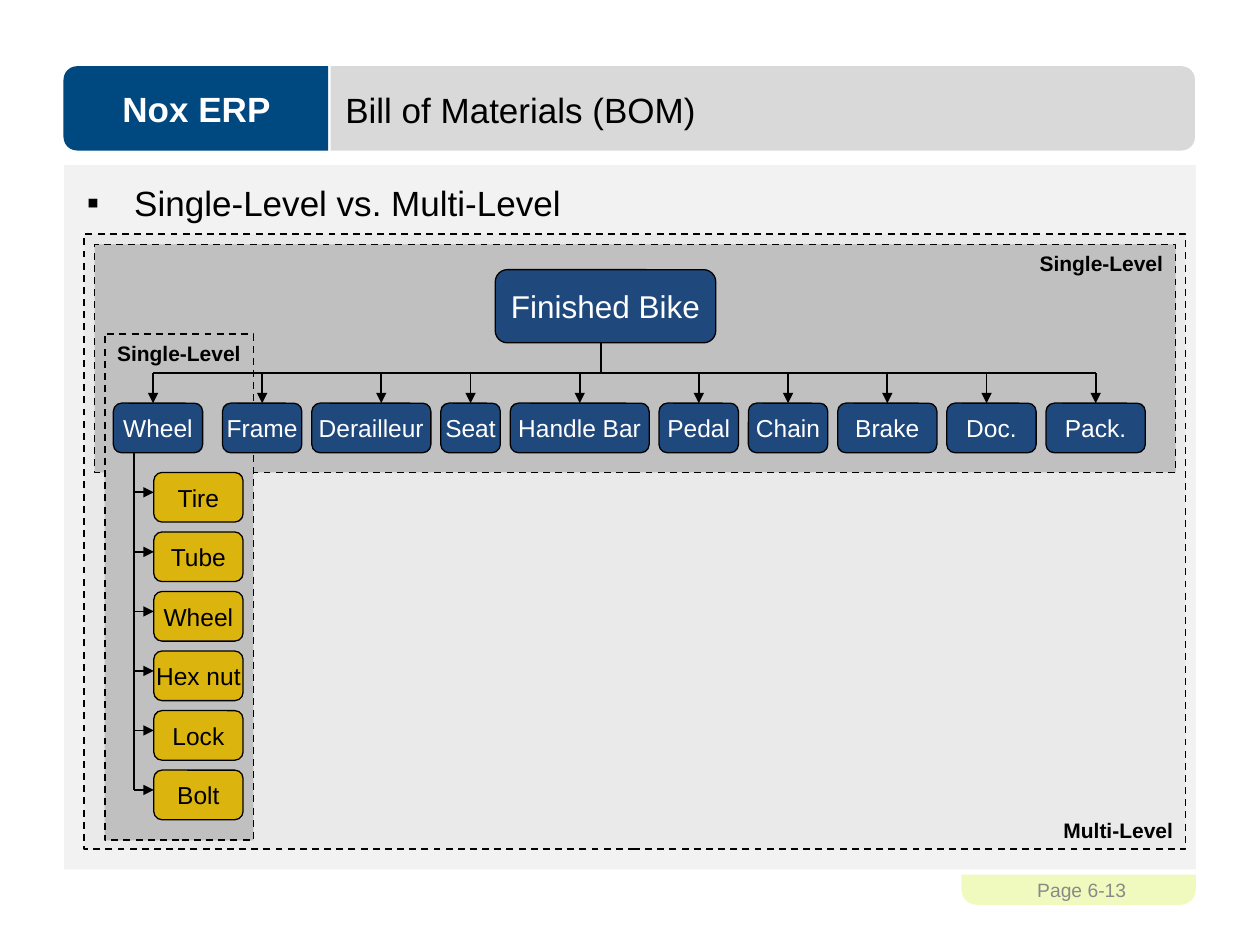
from dataclasses import dataclass
from lxml import etree
from pptx import Presentation
from pptx.dml.color import RGBColor
from pptx.enum.dml import MSO_LINE
from pptx.enum.shapes import MSO_CONNECTOR, MSO_SHAPE
from pptx.enum.text import MSO_ANCHOR, MSO_AUTO_SIZE, PP_ALIGN
from pptx.oxml.ns import qn
from pptx.slide import Slide
from pptx.util import Pt

RECT, ROUND, TAB = MSO_SHAPE.RECTANGLE, MSO_SHAPE.ROUNDED_RECTANGLE, MSO_SHAPE.ROUND_2_SAME_RECTANGLE
LEFT, MID, RIGHT = PP_ALIGN.LEFT, PP_ALIGN.CENTER, PP_ALIGN.RIGHT
TOP, CENTER, BOTTOM = MSO_ANCHOR.TOP, MSO_ANCHOR.MIDDLE, MSO_ANCHOR.BOTTOM
STRAIGHT, DASH, FIXED = MSO_CONNECTOR.STRAIGHT, MSO_LINE.DASH, MSO_AUTO_SIZE.NONE
UNIT = 5.67


def color(code):
    """Turn a hex string into a colour."""
    return RGBColor.from_string(code)


def write(frame, words, size=14, ink="000000", bold=False, align=MID, anchor=CENTER, wrap=False, font="Arial"):
    """Put formatted text in a frame and return its paragraph."""
    frame.auto_size, frame.word_wrap, frame.vertical_anchor = FIXED, wrap, anchor
    para = frame.paragraphs[0]
    para.alignment, para.space_before = align, Pt(0)
    run = para.add_run()
    run.text = words
    run.font.name, run.font.size, run.font.bold = font, Pt(size), bold
    run.font.color.rgb = color(ink)
    return para


@dataclass
class Deck:
    """Hold the style and the current slide."""
    slide: Slide
    ink: str = "000000"
    navy: str = "1F497D"
    gold: str = "DBB40D"
    pale: str = "FFFFFF"

    def shape(self, kind, box, fill, line=0, dash=None, turn=0, bend=None):
        """Add a filled preset shape."""
        item = self.slide.shapes.add_shape(kind, *map(Pt, box))
        item.shadow.inherit = False
        item.fill.solid()
        item.fill.fore_color.rgb = color(fill)
        item.rotation = turn
        if bend is not None:
            item.adjustments[0] = bend
        if line:
            item.line.width = Pt(line)
            item.line.color.rgb = color(self.ink)
            item.line.dash_style = dash
        else:
            item.line.fill.background()
        return item

    def panel(self, box, fill, words, **form):
        """Add a dashed frame with a bold label."""
        item = self.shape(RECT, box, fill, 1, DASH)
        write(item.text_frame, words, 12, self.ink, True, **form)

    def node(self, box, words, fill, ink, size=14):
        """Add a rounded part box."""
        item = self.shape(ROUND, box, fill, 0.75)
        write(item.text_frame, words, size, ink)
        return item

    def label(self, box, words, **form):
        """Add a text box."""
        item = self.slide.shapes.add_textbox(*map(Pt, box))
        write(item.text_frame, words, wrap=True, **form)

    def holder(self, item, box, words, anchor):
        """Move a placeholder to the front and fill it."""
        item.left, item.top, item.width, item.height = map(Pt, box)
        item.element.getparent().append(item.element)
        return write(item.text_frame, words, 20, self.ink, align=LEFT, anchor=anchor, wrap=True)

    def bullet(self, para, mark, indent):
        """Give a paragraph a hanging bullet."""
        props = para._p.get_or_add_pPr()
        props.set("marL", str(Pt(indent)))
        props.set("indent", str(-Pt(indent)))
        tint = etree.SubElement(props, qn("a:buClr"))
        etree.SubElement(tint, qn("a:srgbClr"), val=self.ink)
        etree.SubElement(props, qn("a:buFont"), typeface="Arial")
        etree.SubElement(props, qn("a:buChar"), char=mark)

    def line(self, ends, head=False, goal=None, site=0):
        """Add a straight line, with an arrowhead or a joined end."""
        item = self.slide.shapes.add_connector(STRAIGHT, *map(Pt, ends))
        item.line.width = Pt(1)
        item.line.color.rgb = color(self.ink)
        if head:
            etree.SubElement(item.line._get_or_add_ln(), qn("a:tailEnd"), type="triangle")
        etree.SubElement(item._element.spPr, qn("a:effectLst"))
        if goal is not None:
            item.end_connect(goal, site)


def main():
    """Build the bill of materials slide."""
    show = Presentation()
    show.slide_width, show.slide_height = Pt(720), Pt(540)
    deck = Deck(show.slides.add_slide(show.slide_layouts[1]))
    title, body = deck.slide.placeholders

    deck.shape(RECT, (36.7, 94.3, 646.6, 402.5), "F2F2F2")
    deck.shape(TAB, (549.4, 499.7, 133.9, 17.3), "F1FABE", turn=180, bend=0.5)
    deck.shape(TAB, (87.8, -13.7, 48.2, 151.2), "004880", turn=270, bend=0.16)
    deck.shape(TAB, (411.8, -185, 48.2, 493.9), "D9D9D9", turn=90, bend=0.16)
    deck.label((36.7, 37.8, 151.2, 48.2), "Nox ERP", size=20, ink=deck.pale, bold=True)
    deck.label((553, 493.9, 130.3, 28.8), "Page 6-13", size=11, ink="898989")
    deck.panel((48.2, 133.9, 629.3, 351.4), "EAEAEA", "Multi-Level", align=RIGHT, anchor=BOTTOM)
    deck.holder(title, (190.1, 38.9, 480.2, 46.8), "Bill of Materials (BOM)", CENTER)
    para = deck.holder(body, (42.5, 100.1, 629.3, 382.3), "Single-Level vs. Multi-Level", TOP)
    deck.bullet(para, "▪", 27)
    deck.panel((54, 139.7, 617.8, 130.3), "C0C0C0", "Single-Level", align=RIGHT, anchor=TOP)
    deck.panel((59.8, 190.8, 85, 289.4), "C0C0C0", "Single-Level", align=LEFT, anchor=TOP)

    deck.node((283, 154.1, 126, 41.8), "Finished Bike", deck.navy, deck.pale, 18)
    high, bus, row = 5 * UNIT, 213.3, 230.4
    parts = [("Wheel", 9, 2, -0.5), ("Frame", 8, 1, 0), ("Derailleur", 12, 1, 1), ("Seat", 6, 1, 0),
             ("Handle Bar", 14, 1, 0), ("Pedal", 8, 1, 0), ("Chain", 8, 1, 0), ("Brake", 10, 1, 0),
             ("Doc.", 9, 1, -0.5), ("Pack.", 10, 1, 0)]
    left, drops = 64.8, []
    for name, wide, gap, shift in parts:
        item = deck.node((left, row, wide * UNIT, high), name, deck.navy, deck.pale)
        drop = left + (wide / 2 + shift) * UNIT
        deck.line((drop, bus, drop, row), True, None if shift else item)
        drops.append(drop)
        left += (wide + gap) * UNIT
    deck.line((343.4, 195.9, 343.4, bus))
    deck.line((drops[-1], bus, drops[0], bus))

    stem, side, first = 76.5, 87.9, 270
    for i, name in enumerate(["Tire", "Tube", "Wheel", "Hex nut", "Lock", "Bolt"]):
        top = first + 6 * i * UNIT
        deck.node((side, top, 9 * UNIT, high), name, deck.gold, deck.ink)
        turn = top + 2 * UNIT
        deck.line((stem, turn, side, turn), True)
    deck.line((stem, row + high, stem, turn))
    show.save("out.pptx")


if __name__ == "__main__":
    main()
